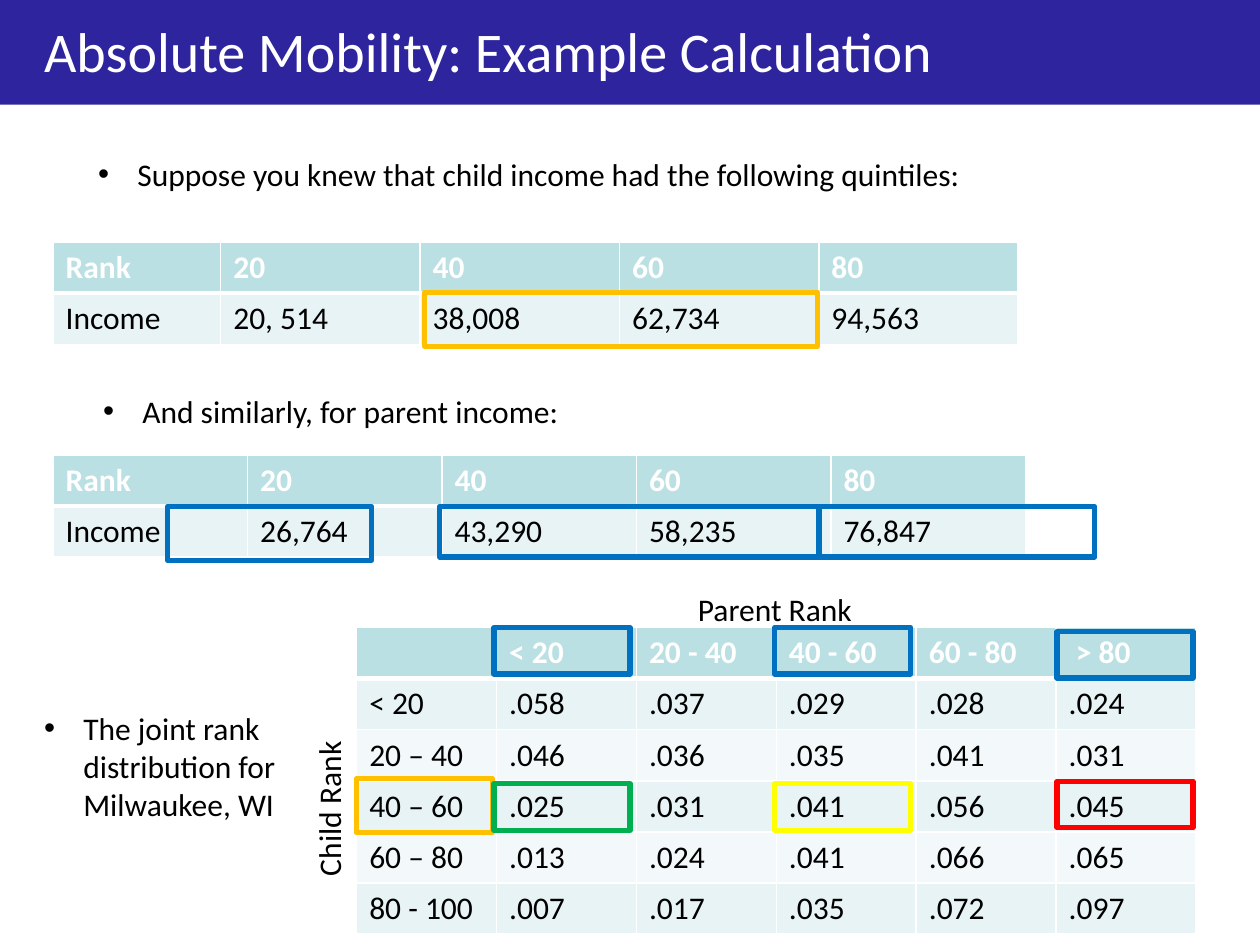
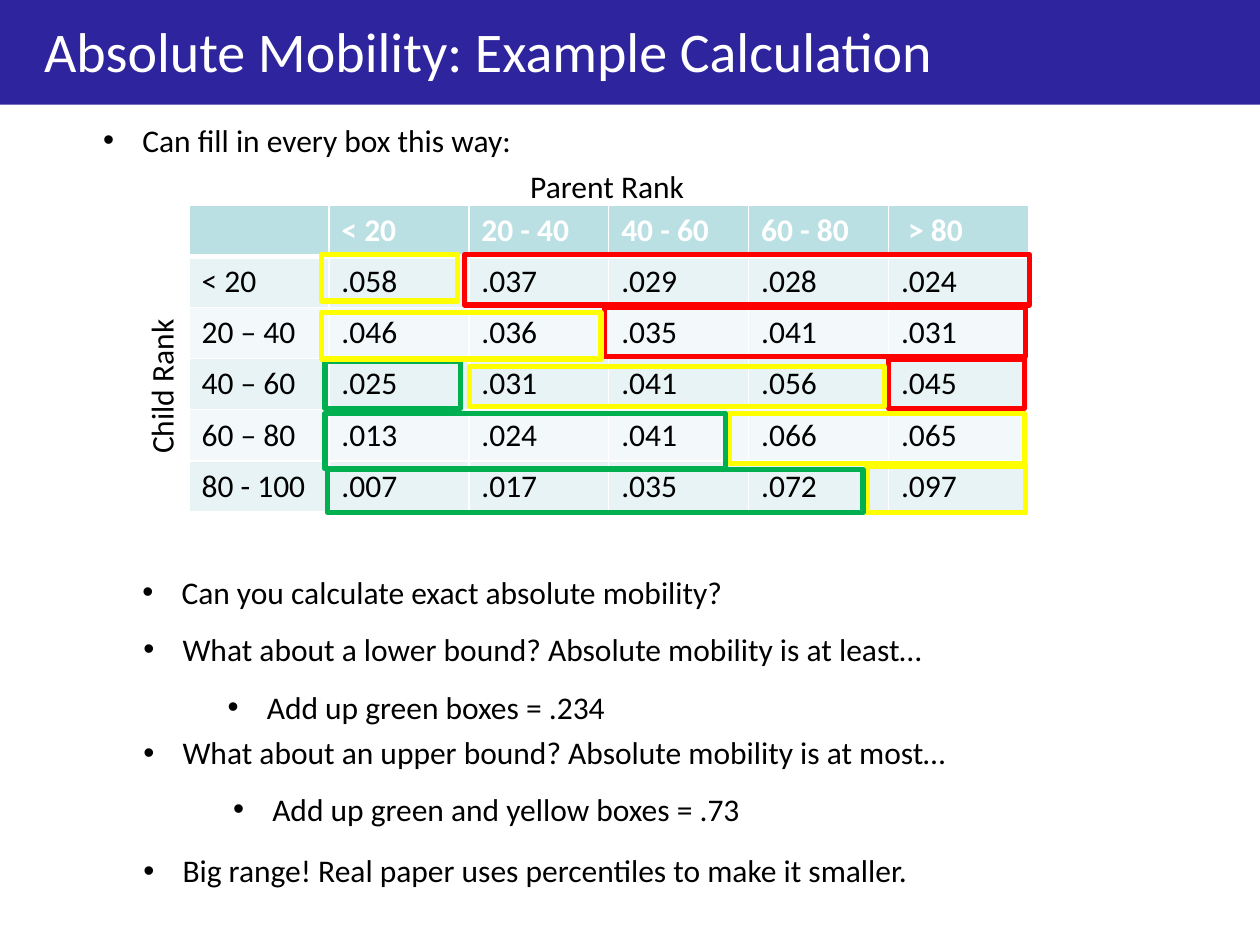
from dataclasses import dataclass

from lxml.etree import SubElement
from pptx import Presentation
from pptx.dml.color import RGBColor
from pptx.enum.shapes import MSO_SHAPE
from pptx.enum.text import MSO_AUTO_SIZE
from pptx.oxml import parse_xml
from pptx.oxml.ns import nsdecls, qn
from pptx.util import Cm, Pt


@dataclass(frozen=True)
class Theme:
    font: str = "Calibri"
    title_size: int = 32
    body_size: int = 18
    outline_width: int = 3
    grid_width: int = 1
    header_rule_width: int = 3
    band: str = "2E249E"
    white: str = "FFFFFF"
    black: str = "000000"
    header_fill: str = "BBE0E3"
    row_fills: tuple = ("E7F3F4", "F3F9FA")
    orange: str = "FFC000"
    blue: str = "0070C0"
    red: str = "FF0000"
    green: str = "00B050"
    yellow: str = "FFFF00"


THEME = Theme()
SLIDE_WIDTH, SLIDE_HEIGHT = 25.4, 19.05
BAND_HEIGHT = 2.11
ROW_HEIGHT = 1.03
LINE_HEIGHT = 1.02
BULLET_INDENT = 0.79
JOINT_COLUMN = 2.82
LABEL_WIDTH = 6.78
PARENT_LABEL_OFFSET = (6.63, -0.89)
CHILD_LABEL_OFFSET = (-3.95, 1.36)

TITLE = "Absolute Mobility: Example Calculation"

CHILD_QUINTILES = [
    ["Rank", "20", "40", "60", "80"],
    ["Income", "20, 514", "38,008", "62,734", "94,563"],
]
PARENT_QUINTILES = [
    ["Rank", "20", "40", "60", "80"],
    ["Income", "26,764", "43,290", "58,235", "76,847"],
]
JOINT_DISTRIBUTION = [
    ["", "< 20", "20 - 40", "40 - 60", "60 - 80", " > 80"],
    ["< 20", ".058", ".037", ".029", ".028", ".024"],
    ["20 – 40", ".046", ".036", ".035", ".041", ".031"],
    ["40 – 60", ".025", ".031", ".041", ".056", ".045"],
    ["60 – 80", ".013", ".024", ".041", ".066", ".065"],
    ["80 - 100", ".007", ".017", ".035", ".072", ".097"],
]

SLIDES = [
    {
        "bullets": [
            ("Suppose you knew that child income had the following quintiles:", 1.73, 3, 21.59),
            ("And similarly, for parent income:", 1.83, 7.77, 21.59),
            ("The joint rank distribution for Milwaukee, WI", 0.64, 14.17, 5.28),
        ],
        "income_tables": [
            (CHILD_QUINTILES, 1.07, 4.88, [3.38] + [4.02] * 4),
            (PARENT_QUINTILES, 1.07, 9.17, [3.92] * 5),
        ],
        "joint_table": (7.19, 12.65),
        "highlights": [
            (THEME.orange, 7.19, 15.7, 2.74, 1.09),
            (THEME.orange, 8.56, 5.89, 7.92, 1.09),
            (THEME.blue, 9.96, 12.65, 2.74, 0.94),
            (THEME.blue, 3.38, 10.21, 4.11, 1.09),
            (THEME.blue, 16.51, 10.21, 5.56, 1.02),
            (THEME.blue, 21.31, 12.73, 2.74, 0.94),
            (THEME.blue, 8.86, 10.21, 7.65, 1.02),
            (THEME.blue, 15.62, 12.65, 2.74, 0.94),
            (THEME.red, 21.31, 15.75, 2.74, 0.94),
            (THEME.green, 9.96, 15.8, 2.74, 0.94),
            (THEME.yellow, 15.62, 15.8, 2.74, 0.94),
        ],
    },
    {
        "bullets": [
            ("Can fill in every box this way:", 1.83, 2.31, 21.59),
            ("Can you calculate exact absolute mobility?", 2.62, 11.43, 19.08),
            ("What about a lower bound? Absolute mobility is at least…", 2.64, 12.57, 19.08),
            ("Add up green boxes = .234", 4.34, 13.74, 19.08),
            ("What about an upper bound? Absolute mobility is at most…", 2.64, 14.66, 19.08),
            ("Add up green and yellow boxes = .73", 4.45, 15.8, 19.08),
            ("Big range! Real paper uses percentiles to make it smaller.", 2.64, 17.04, 19.08),
        ],
        "income_tables": [],
        "joint_table": (3.81, 4.14),
        "highlights": [
            (THEME.red, 17.91, 7.24, 2.74, 0.99),
            (THEME.green, 6.55, 7.29, 2.74, 0.94),
            (THEME.yellow, 9.47, 7.39, 8.36, 0.81),
            (THEME.yellow, 6.48, 5.13, 2.74, 0.94),
            (THEME.red, 9.37, 5.13, 11.38, 1.02),
            (THEME.red, 12.19, 6.2, 8.48, 0.99),
            (THEME.yellow, 6.48, 6.3, 5.64, 0.94),
            (THEME.yellow, 14.71, 8.33, 5.94, 1.02),
            (THEME.yellow, 17.48, 9.4, 3.2, 0.94),
            (THEME.green, 6.55, 8.33, 8.08, 1.12),
            (THEME.green, 6.6, 9.47, 10.8, 0.86),
        ],
    },
]


def apply_format(target, values):
    for name, value in values.items():
        setattr(target, name, value)


def paint(fill, color):
    fill.solid()
    fill.fore_color.rgb = RGBColor.from_string(color)


def write_text(paragraph, text, color, size=THEME.body_size, bold=False):
    run = paragraph.add_run()
    run.text = text
    apply_format(run.font, {"name": THEME.font, "size": Pt(size), "bold": bold})
    run.font.color.rgb = RGBColor.from_string(color)


def add_text(slide, text, left, top, width, height=LINE_HEIGHT,
             color=THEME.black, size=THEME.body_size):
    shape = slide.shapes.add_textbox(Cm(left), Cm(top), Cm(width), Cm(height))
    apply_format(shape.text_frame, {
        "word_wrap": True,
        "auto_size": MSO_AUTO_SIZE.SHAPE_TO_FIT_TEXT,
    })
    write_text(shape.text_frame.paragraphs[0], text, color, size)
    return shape


def add_bullet(slide, text, left, top, width):
    shape = add_text(slide, text, left, top, width)
    properties = shape.text_frame.paragraphs[0]._p.get_or_add_pPr()
    properties.set("marL", str(Cm(BULLET_INDENT)))
    properties.set("indent", str(-Cm(BULLET_INDENT)))
    SubElement(properties, qn("a:buFont")).set("typeface", "Arial")
    SubElement(properties, qn("a:buChar")).set("char", "•")


def add_rectangle(slide, left, top, width, height):
    shape = slide.shapes.add_shape(
        MSO_SHAPE.RECTANGLE, Cm(left), Cm(top), Cm(width), Cm(height))
    shape.shadow.inherit = False
    return shape


def add_highlight(slide, color, left, top, width, height):
    shape = add_rectangle(slide, left, top, width, height)
    shape.fill.background()
    shape.line.width = Pt(THEME.outline_width)
    paint(shape.line.fill, color)


def add_title(slide):
    band = add_rectangle(slide, 0, 0, SLIDE_WIDTH, BAND_HEIGHT)
    paint(band.fill, THEME.band)
    band.line.fill.background()
    add_text(slide, TITLE, 0.64, 0.2, 24.76, 1.6, THEME.white, THEME.title_size)


def set_borders(cell, row_index):
    top = THEME.header_rule_width if row_index == 1 else THEME.grid_width
    bottom = THEME.header_rule_width if row_index == 0 else THEME.grid_width
    widths = {"lnL": THEME.grid_width, "lnR": THEME.grid_width, "lnT": top, "lnB": bottom}
    properties = cell._tc.get_or_add_tcPr()
    for position, (side, width) in enumerate(widths.items()):
        properties.insert(position, parse_xml(
            f'<a:{side} {nsdecls("a")} w="{Pt(width)}"><a:solidFill>'
            f'<a:srgbClr val="{THEME.white}"/></a:solidFill></a:{side}>'))


def add_table(slide, rows, left, top, column_widths):
    table = slide.shapes.add_table(
        len(rows), len(column_widths), Cm(left), Cm(top),
        Cm(sum(column_widths)), Cm(ROW_HEIGHT * len(rows))).table
    apply_format(table, {"first_row": True, "horz_banding": False})
    for column, width in zip(table.columns, column_widths):
        column.width = Cm(width)
    for row_index, values in enumerate(rows):
        table.rows[row_index].height = Cm(ROW_HEIGHT)
        header = row_index == 0
        fill = THEME.header_fill if header else THEME.row_fills[(row_index - 1) % 2]
        color = THEME.white if header else THEME.black
        for column_index, value in enumerate(values):
            cell = table.cell(row_index, column_index)
            paint(cell.fill, fill)
            set_borders(cell, row_index)
            write_text(cell.text_frame.paragraphs[0], value, color, bold=header)


def add_joint_table(slide, left, top):
    add_table(slide, JOINT_DISTRIBUTION, left, top,
              [JOINT_COLUMN] * len(JOINT_DISTRIBUTION[0]))
    labels = [
        ("Parent Rank", PARENT_LABEL_OFFSET, 0),
        ("Child Rank", CHILD_LABEL_OFFSET, 270),
    ]
    for text, (across, down), rotation in labels:
        label = add_text(slide, text, left + across, top + down, LABEL_WIDTH)
        label.rotation = rotation


def main():
    presentation = Presentation()
    apply_format(presentation, {
        "slide_width": Cm(SLIDE_WIDTH),
        "slide_height": Cm(SLIDE_HEIGHT),
    })
    for content in SLIDES:
        slide = presentation.slides.add_slide(presentation.slide_layouts[6])
        add_title(slide)
        for bullet in content["bullets"]:
            add_bullet(slide, *bullet)
        for income_table in content["income_tables"]:
            add_table(slide, *income_table)
        add_joint_table(slide, *content["joint_table"])
        for highlight in content["highlights"]:
            add_highlight(slide, *highlight)
    presentation.save("out.pptx")


if __name__ == "__main__":
    main()
